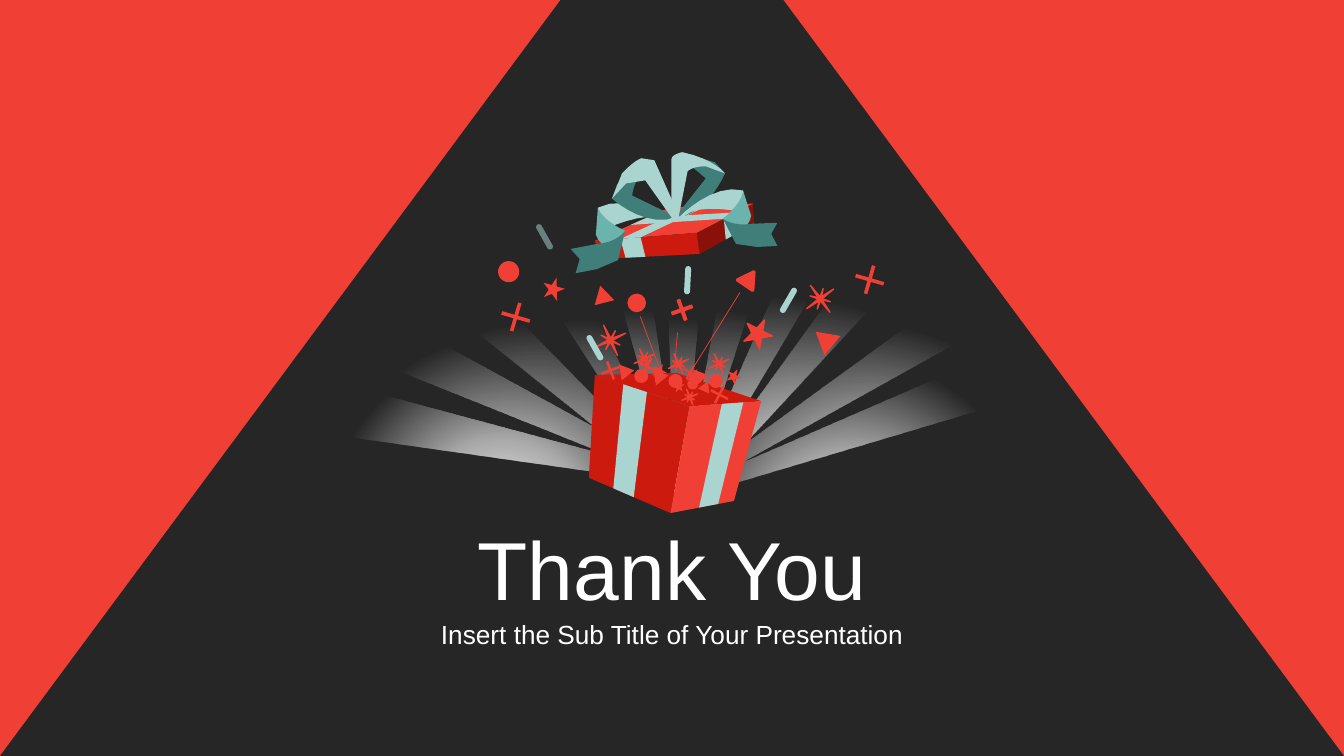
from math import cos, radians, sin
from lxml import etree
from pptx import Presentation
from pptx import util as u
from pptx.dml.color import RGBColor
from pptx.enum import shapes, text
from pptx.oxml import parse_xml
from pptx.oxml.ns import nsdecls, qn

COLORS = {"red": "F04036", "crimson": "CD1A0F", "maroon": "89110A", "dark": "262626",
          "mint": "AAD4D0", "teal": "6BB4AD", "pine": "407F79", "white": "FFFFFF"}
KINDS = {"plus": shapes.MSO_SHAPE.CROSS, "triangle": shapes.MSO_SHAPE.ISOSCELES_TRIANGLE,
         "dot": shapes.MSO_SHAPE.OVAL, "star": shapes.MSO_SHAPE.STAR_5_POINT,
         "spark": shapes.MSO_SHAPE.STAR_4_POINT, "streamer": shapes.MSO_SHAPE.ROUNDED_RECTANGLE}
ADJUST = {"plus": 0.438, "spark": 0.046, "streamer": 0.5}
FLATNESS = {"triangle": 0.87, "streamer": 0.21}
RAY_WIDTH, RAY_LENGTH = 0.54, 3.92

RAYS = [(8.31, 1.88, 54.8), (8.16, 2.43, 67.3), (7.71, 1.44, 42), (7.37, 1.17, 29.8),
        (6.9, 1.13, 17), (6.42, 1.08, 4.2), (5.94, 1.03, -9.3), (5.46, 1.35, -26.8),
        (5.04, 1.73, -45.1), (4.81, 2.11, -62), (4.72, 2.53, -75.9)]

BOW_TAILS = [
    ("mint", [(6.74, 2.15), (7.07, 1.81, 7.37, 1.89), (7.39, 2.11), (6.92, 2, 6.78, 2.15)]),
    ("teal", [(7.37, 1.89), (7.37, 2.01, 7.17, 2.17), (7.31, 2.31), (7.43, 2.26, 7.45, 2.14)]),
    ("pine", [(7.17, 2.17), (7.27, 2.25, 7.46, 2.22), (7.71, 2.21), (7.65, 2.32), (7.71, 2.44),
              (7.51, 2.45), (7.3, 2.42)]),
    ("teal", [(5.93, 2.06), (5.96, 2.18, 6.2, 2.29), (6.09, 2.48), (5.96, 2.46, 5.91, 2.33)]),
    ("pine", [(6.2, 2.29), (6.12, 2.41, 5.92, 2.42), (5.66, 2.47), (5.75, 2.57), (5.71, 2.71),
              (5.92, 2.67), (6.13, 2.58)])]
BOW_LOOPS = [
    ("mint", [(6.64, 2.18), (6.23, 1.91, 5.93, 2.06), (5.96, 2.29), (6.42, 2.07, 6.6, 2.18)]),
    ("pine", [(6.07, 1.97), (6.33, 2.21, 6.61, 2.18), (6.7, 2.15), (6.27, 1.94),
              (6.28, 1.82, 6.37, 1.7), (6.33, 1.65), (6.12, 1.83)]),
    ("mint", [(6.67, 2.17), (6.4, 1.79), (6.21, 1.82), (6.07, 1.97), (6.17, 1.72),
              (6.28, 1.6, 6.36, 1.57), (6.49, 1.59), (6.73, 2.13)]),
    ("pine", [(7.19, 1.72), (7.06, 2.04, 6.8, 2.14), (6.7, 2.15), (7, 1.77), (6.8, 1.6),
              (6.82, 1.53), (7.09, 1.61)]),
    ("mint", [(6.73, 2.16), (6.82, 1.7), (6.86, 1.65, 7, 1.65), (7.19, 1.72),
              (7.09, 1.58, 6.77, 1.51), (6.66, 1.53, 6.66, 1.58), (6.66, 2.14)])]

CONFETTI = {
    "plus": [(4.97, 3, 0.29, 16.2), (8.48, 2.63, 0.29, 16.2), (5.96, 3.58, 0.19, 69.3),
             (6.32, 3.54, 0.19, 27.4), (7.04, 3.82, 0.19, 27.4), (6.77, 3.62, 0.15, 30),
             (6.66, 2.97, 0.21, 340.5, 1)],
    "triangle": [(8.07, 3.31, 0.25, 189.8), (5.86, 2.88, 0.2, 225.7),
                 (7.34, 2.73, 0.18, 154.1, 2.5)],
    "dot": [(4.94, 2.59, 0.21), (6.24, 2.93, 0.15, 0, 2.5)],
    "star": [(5.38, 2.75, 0.22, 16), (7.38, 3.16, 0.28, 27.1, 1)]}
BURSTS = [(5.89, 3.21, 0.33, 335.3), (7.97, 2.8, 0.33, 324.1)]
CLUSTERS = [(6.7, 3.78), (6.36, 3.73), (7.1, 3.78), (6.87, 3.81, 0.77, 182.7)]
TRAILS = [(6.54, 3.65, 6.35, 3.14), (6.69, 3.64, 6.72, 3.3), (6.85, 3.69, 7.34, 2.9)]
STREAMERS = [(7.68, 2.95, 299.9, 100), (5.76, 3.42, 240.6, 100),
             (6.68, 2.75, 272.9, 100), (5.26, 2.32, 240.6, 52)]


def rgb(name):
    return RGBColor.from_string(COLORS[name])


def paint(part, color, alpha=100, line=0):
    part.shadow.inherit = False
    part.fill.solid()
    part.fill.fore_color.rgb = rgb(color)
    if alpha < 100:
        tint = part.element.spPr.find(qn("a:solidFill"))[0]
        etree.SubElement(tint, qn("a:alpha")).set("val", str(alpha * 1000))
    if line:
        part.line.color.rgb = rgb(color)
        part.line.width = u.Pt(line)
    else:
        part.line.fill.background()


def flatten(outline, steps=8):
    points = [outline[0]]
    for step in outline[1:]:
        if len(step) == 2:
            points.append(step)
            continue
        start, pull, end = points[-1], step[:2], step[2:]
        for t in (i / steps for i in range(1, steps + 1)):
            weights = ((1 - t) ** 2 * (1 + 2 * t), 3 * t * t * (1 - t), t ** 3)
            points.append(tuple(sum(w * p[axis] for w, p in zip(weights, (start, pull, end)))
                                for axis in (0, 1)))
    return points


def add_outline(slide, color, outline):
    points = [(u.Inches(x), u.Inches(y)) for x, y in flatten(outline)]
    builder = slide.shapes.build_freeform(*points[0], scale=1.0)
    builder.add_line_segments(points[1:], close=True)
    part = builder.convert_to_shape()
    paint(part, color)
    return part


def add_ray(slide, left, top, tilt):
    xs = [0, RAY_WIDTH, 0.49, 0.42]
    if tilt > 50:
        xs = [RAY_WIDTH - x for x in xs]
    ys = [0, 0, RAY_LENGTH, RAY_LENGTH]
    ray = add_outline(slide, "white", [(left + x, top + y) for x, y in zip(xs, ys)])
    ray.rotation = tilt % 360
    fade = round(92 - 0.3 * max(0, abs(tilt) - 45))
    stops = "".join(
        f'<a:gs pos="{pos * 1000}"><a:srgbClr val="{COLORS["white"]}">'
        f'<a:alpha val="{alpha * 1000}"/></a:srgbClr></a:gs>'
        for pos, alpha in ((0, 100), (42, 60), (fade, 0)))
    glow = parse_xml(
        f'<a:gradFill {nsdecls("a")} rotWithShape="1"><a:gsLst>{stops}</a:gsLst><a:path path="circle">'
        '<a:fillToRect l="50000" t="130000" r="50000" b="-30000"/></a:path></a:gradFill>')
    solid = ray.element.spPr.find(qn("a:solidFill"))
    solid.getparent().replace(solid, glow)


def add_band(slide, near, far, start, end):
    def along(edge, share):
        return tuple(a + (b - a) * share for a, b in zip(*edge))
    add_outline(slide, "mint", [along(near, start), along(near, end), along(far, end), along(far, start)])


def add_box(slide):
    left, back, right, front = (5.9, 3.72), (6.71, 3.7), (7.55, 3.98), (6.84, 4.03)
    left_foot, right_foot, front_foot = (5.84, 4.74), (7.28, 4.97), (6.65, 5.09)
    add_outline(slide, "crimson", [left, back, right, front])
    add_outline(slide, "crimson", [left, front, front_foot, left_foot])
    add_outline(slide, "red", [front, right, right_foot, front_foot])
    add_band(slide, (left, front), (left_foot, front_foot), 0.3, 0.55)
    add_band(slide, (front, right), (front_foot, right_foot), 0.45, 0.75)


def add_lid(slide):
    left, back, right, front = (5.9, 2.39), (6.64, 2.06), (7.47, 2.02), (6.91, 2.31)
    left_rim, right_rim, front_rim = (5.96, 2.57), (7.48, 2.22), (6.94, 2.52)
    add_outline(slide, "maroon", [right, front, front_rim, right_rim])
    add_outline(slide, "red", [left, back, right, front])
    add_outline(slide, "crimson", [left, front, front_rim, left_rim])
    for far in ((left_rim, front_rim), (back, right)):
        add_band(slide, (left, front), far, 0.25, 0.45)
    for far in ((front_rim, right_rim), (left, back)):
        add_band(slide, (front, right), far, 0.48, 0.7)


def add_piece(slide, kind, left, top, size, angle=0, line=0, color="red", alpha=100):
    height = size * FLATNESS.get(kind, 1)
    piece = slide.shapes.add_shape(KINDS[kind], *map(u.Inches, (left, top, size, height)))
    piece.rotation = angle % 360
    if kind in ADJUST:
        piece.adjustments[0] = ADJUST[kind]
    paint(piece, color, alpha, line)


def add_burst(slide, left, top, size, angle):
    inner = size * 0.64
    inset = (size - inner) / 2
    add_piece(slide, "spark", left, top, size, angle, 1)
    add_piece(slide, "spark", left + inset, top + inset, inner, angle + 52, 1)


def add_cluster(slide, x, y, scale=1, turn=0):
    across, down = scale * cos(radians(turn)), scale * sin(radians(turn))
    for kind, dx, dy, size, angle in (("triangle", -0.17, -0.02, 0.16, 200.9), ("dot", 0, 0, 0.14, 0),
                                      ("star", 0.18, -0.05, 0.15, 27.1), ("burst", 0.03, -0.17, 0.22, 335.3)):
        size *= scale
        left = x + dx * across - dy * down - size / 2
        top = y + dx * down + dy * across - size * FLATNESS.get(kind, 1) / 2
        if kind == "burst":
            add_burst(slide, left, top, size, angle + turn)
        else:
            add_piece(slide, kind, left, top, size, angle + turn)


def add_trail(slide, *ends):
    trail = slide.shapes.add_connector(shapes.MSO_CONNECTOR.STRAIGHT, *map(u.Inches, ends))
    trail.line.color.rgb = rgb("red")
    trail.line.width = u.Pt(0.5)
    etree.SubElement(trail.element.spPr, qn("a:effectLst"))


def write(holder, words, top, height, size, color="white", font="Arial"):
    holder.left, holder.top, holder.width, holder.height = map(u.Inches, (0, top, 13.33, height))
    frame = holder.text_frame
    frame.word_wrap = True
    frame.vertical_anchor = text.MSO_ANCHOR.MIDDLE
    line = frame.paragraphs[0]
    line.text = words
    line.alignment = text.PP_ALIGN.CENTER
    line.font.size, line.font.name = u.Pt(size), font
    line.font.color.rgb = rgb(color)


def main():
    deck = Presentation()
    deck.slide_width, deck.slide_height = u.Inches(13.33), u.Inches(7.5)
    slide = deck.slides.add_slide(deck.slide_layouts[5])
    slide.background.fill.solid()
    slide.background.fill.fore_color.rgb = rgb("red")
    add_outline(slide, "dark", [(5.56, 0), (7.77, 0), (13.33, 7.5), (0, 7.5)])
    title = slide.shapes.title
    title.element.getparent().append(title.element)
    write(title, "Thank You", 5.09, 1.09, 58.7)
    subtitle = slide.shapes.add_textbox(0, 0, 0, 0)
    write(subtitle, "Insert the Sub Title of Your Presentation", 6.08, 0.42, 18.7)
    for ray in RAYS:
        add_ray(slide, *ray)
    add_box(slide)
    add_lid(slide)
    for color, outline in BOW_LOOPS + BOW_TAILS:
        add_outline(slide, color, outline)
    for trail in TRAILS:
        add_trail(slide, *trail)
    for kind, pieces in CONFETTI.items():
        for piece in pieces:
            add_piece(slide, kind, *piece)
    for burst in BURSTS:
        add_burst(slide, *burst)
    for cluster in CLUSTERS:
        add_cluster(slide, *cluster)
    for left, top, angle, alpha in STREAMERS:
        add_piece(slide, "streamer", left, top, 0.28, angle, color="mint", alpha=alpha)
    deck.save("out.pptx")


if __name__ == "__main__":
    main()
